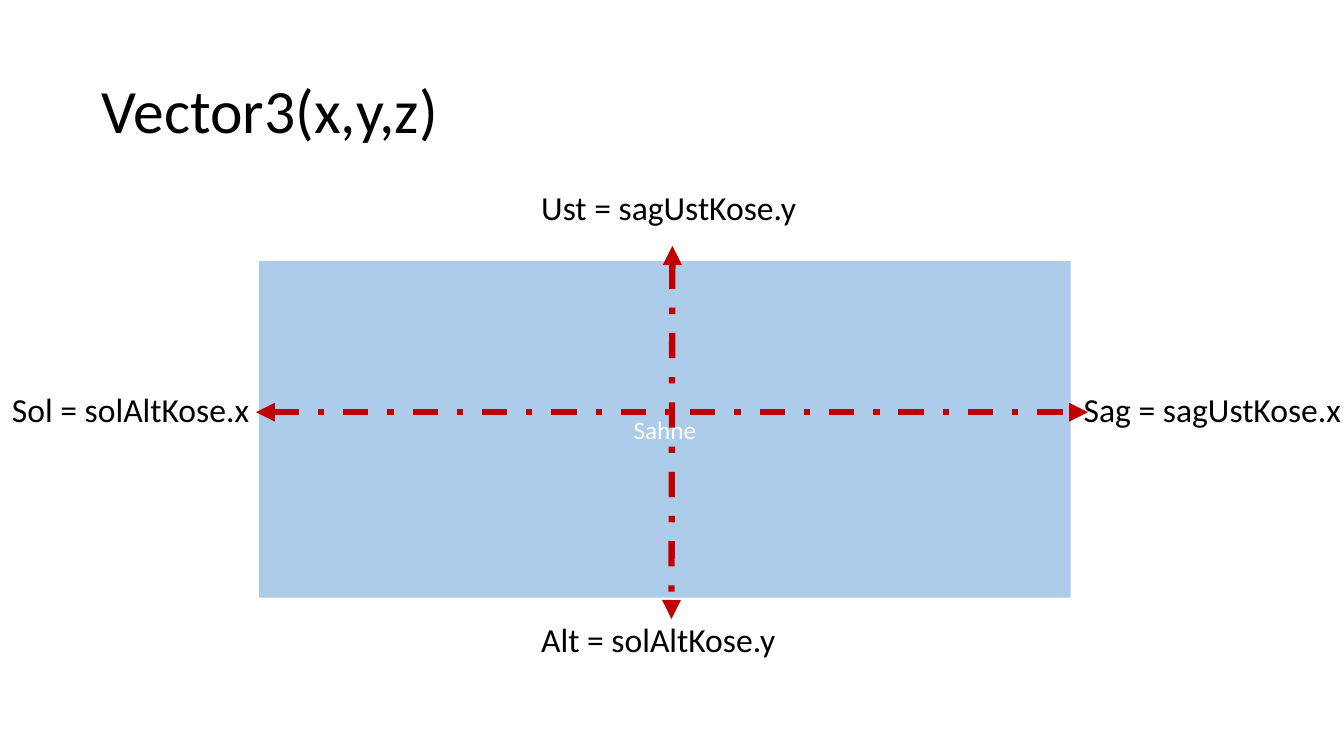
from lxml.etree import SubElement
from pptx import Presentation
from pptx.dml.color import RGBColor
from pptx.enum.dml import MSO_LINE
from pptx.enum.shapes import MSO_CONNECTOR, MSO_SHAPE
from pptx.enum.text import MSO_ANCHOR, PP_ALIGN
from pptx.oxml.ns import qn
from pptx.util import Inches, Pt


def color(code):
    return RGBColor.from_string(code)


def write(shape, text, size=24, ink="000000", anchor=MSO_ANCHOR.TOP,
          align=PP_ALIGN.LEFT, spacing=0.9, after=0):
    frame = shape.text_frame
    frame.word_wrap = True
    frame.vertical_anchor = anchor
    para = frame.paragraphs[0]
    para.alignment = align
    para.line_spacing = spacing
    para.space_after = Pt(after)
    span = para.add_run()
    span.text = text
    span.font.name = "Calibri"
    span.font.size = Pt(size)
    span.font.color.rgb = color(ink)


class Diagram:
    """Draws on one slide; all lengths are percentages of its size."""

    scene_fill = "5B9BD5"
    axis_color = "C00000"
    label_size = 20.93, 12.8

    def __init__(self, deck):
        self.width, self.height = deck.slide_width, deck.slide_height
        self.shapes = deck.slides.add_slide(deck.slide_layouts[6]).shapes

    def place(self, *lengths):
        sides = (self.width, self.height) * 2
        return [round(side * share / 100) for side, share in zip(sides, lengths)]

    def text(self, area, text, **style):
        write(self.shapes.add_textbox(*self.place(*area)), text, **style)

    def label(self, left, top, text):
        self.text((left, top, *self.label_size), text, after=6)

    def scene(self, area, text):
        box = self.shapes.add_shape(MSO_SHAPE.RECTANGLE, *self.place(*area))
        box.shadow.inherit = False
        box.fill.solid()
        box.fill.fore_color.rgb = color(self.scene_fill)
        tint = box.fill._xPr.find(".//" + qn("a:srgbClr"))
        SubElement(tint, qn("a:alpha"), val="50000")
        box.line.fill.background()
        write(box, text, size=18, ink="FFFFFF", anchor=MSO_ANCHOR.MIDDLE,
              align=PP_ALIGN.CENTER, spacing=1)

    def axis(self, *ends):
        """Draw a dash-dot line with an arrowhead at each end."""
        axis = self.shapes.add_connector(MSO_CONNECTOR.STRAIGHT, *self.place(*ends))
        axis.line.color.rgb = color(self.axis_color)
        axis.line.width = Pt(4.5)
        axis.line.dash_style = MSO_LINE.DASH_DOT
        properties = axis.line._get_or_add_ln()
        for end in ("a:headEnd", "a:tailEnd"):
            SubElement(properties, qn(end), type="triangle")
        SubElement(axis._element.spPr, qn("a:effectLst"))


def main():
    deck = Presentation()
    deck.slide_width, deck.slide_height = Inches(13.33), Inches(7.5)
    diagram = Diagram(deck)
    diagram.text((6.83, 5.33, 86.35, 19.33), "Vector3(x,y,z)", size=44,
                 anchor=MSO_ANCHOR.MIDDLE)

    center, middle = 39.53, 51.33
    diagram.label(center, 81.87, "Alt = solAltKose.y")
    diagram.label(center, 24.67, "Ust = sagUstKose.y")
    diagram.label(79.89, middle, "Sag = sagUstKose.x")
    diagram.label(0.15, middle, "Sol = solAltKose.x")

    diagram.scene((19.28, 34.53, 60.39, 44.53), "Sahne")
    diagram.axis(50.03, 32.53, 49.96, 81.87)
    diagram.axis(19.05, 54.53, 80.95, 54.53)
    deck.save("out.pptx")


if __name__ == "__main__":
    main()
